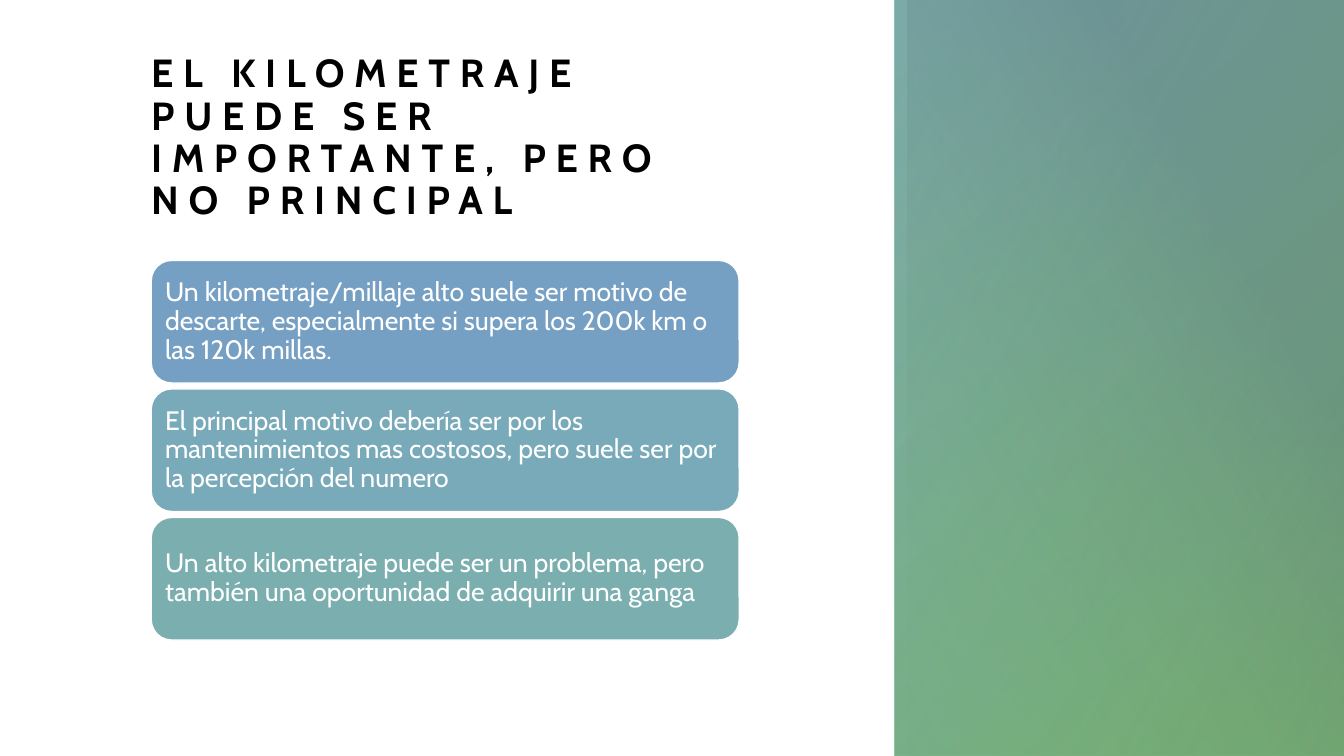
from dataclasses import dataclass

from pptx import Presentation
from pptx import util as u
from pptx.dml.color import RGBColor
from pptx.enum import shapes, text
from pptx.oxml import parse_xml
from pptx.oxml.ns import nsdecls, qn

# Grid: 80 columns by 45 rows of equal square cells
COLUMNS, ROWS = 80, 45
CELL = u.Inches(7.5) / ROWS
FONT = "Cabin"
TEXT_LEFT, TEXT_COLUMNS = 9, 35
CARD_TOP, CARD_ROWS, CARD_PITCH = 15.5, 7.3, 7.65


@dataclass
class Stop:
    position: int
    color: str
    opacity: int = 100


@dataclass
class PanelLayer:
    columns: float
    rotation: int
    angle: int
    stops: list[Stop]


@dataclass
class Card:
    color: str
    wording: str


PANEL_LAYERS = [
    PanelLayer(26.75, 180, 130, [Stop(8, "7AB16B"), Stop(100, "77AF82", 90)]),
    PanelLayer(26.75, 90, 60, [Stop(0, "6BB196", 13), Stop(99, "76A0C3", 52)]),
    PanelLayer(26, 90, 300, [Stop(0, "7AB16B", 0), Stop(72, "485083", 26)]),
]

CARDS = [
    Card("76A0C3", "Un kilometraje/millaje alto suele ser motivo de descarte, "
                   "especialmente si supera los 200k km o las 120k millas."),
    Card("78AAB9", "El principal motivo debería ser por los mantenimientos mas "
                   "costosos, pero suele ser por la percepción del numero"),
    Card("7AAEAF", "Un alto kilometraje puede ser un problema, pero también una "
                   "oportunidad de adquirir una ganga"),
]


def cells(count: float) -> int:
    return u.Emu(round(count * CELL))


def rgb(color: str) -> RGBColor:
    return RGBColor.from_string(color)


def write(shape, wording: str, size: int, color: str, inset: float, anchor):
    """Set left-aligned text in a shape and return its run."""
    frame = shape.text_frame
    frame.text = wording
    frame.word_wrap = True
    frame.auto_size = text.MSO_AUTO_SIZE.NONE
    frame.vertical_anchor = anchor
    frame.margin_left = frame.margin_right = u.Inches(inset)
    frame.margin_top = frame.margin_bottom = u.Inches(inset)
    para = frame.paragraphs[0]
    para.alignment = text.PP_ALIGN.LEFT
    para.line_spacing = 0.9
    span = para.runs[0]
    span.font.name = FONT
    span.font.size = u.Pt(size)
    span.font.color.rgb = rgb(color)
    return span


def draw_title(page, wording: str) -> None:
    title = page.shapes.title
    title.left, title.top = cells(TEXT_LEFT), cells(3.05)
    title.width, title.height = cells(TEXT_COLUMNS), cells(10.25)
    span = write(title, wording, 28, "000000", 0, text.MSO_ANCHOR.BOTTOM)
    span.font.bold = True
    span.font._element.set("spc", "700")


def draw_layer(page, layer: PanelLayer) -> None:
    """Draw a full-height gradient that ends at the slide's right edge."""
    middle = COLUMNS - layer.columns / 2
    sideways = layer.rotation == 90
    width, height = (ROWS, layer.columns) if sideways else (layer.columns, ROWS)
    box = page.shapes.add_shape(
        shapes.MSO_SHAPE.RECTANGLE, cells(middle - width / 2),
        cells((ROWS - height) / 2), cells(width), cells(height))
    box.rotation = layer.rotation
    box.shadow.inherit = False
    box.line.fill.background()
    box.fill.gradient()
    properties = box.element.spPr
    properties.xfrm.set("flipH", "1")
    stops = "".join(
        f'<a:gs pos="{stop.position * 1000}"><a:srgbClr val="{stop.color}">'
        f'<a:alpha val="{stop.opacity * 1000}"/></a:srgbClr></a:gs>'
        for stop in layer.stops)
    gradient = parse_xml(
        f'<a:gradFill {nsdecls("a")} rotWithShape="1"><a:gsLst>{stops}</a:gsLst>'
        f'<a:lin ang="{layer.angle * 60000}" scaled="0"/></a:gradFill>')
    properties.replace(properties.find(qn("a:gradFill")), gradient)


def draw_card(page, card: Card, index: int) -> None:
    box = page.shapes.add_shape(
        shapes.MSO_SHAPE.ROUNDED_RECTANGLE, cells(TEXT_LEFT),
        cells(CARD_TOP + index * CARD_PITCH), cells(TEXT_COLUMNS), cells(CARD_ROWS))
    box.shadow.inherit = False
    box.fill.solid()
    box.fill.fore_color.rgb = rgb(card.color)
    box.line.color.rgb = rgb("FFFFFF")
    box.line.width = u.Pt(1)
    write(box, card.wording, 19, "FFFFFF", 0.08, text.MSO_ANCHOR.MIDDLE)


def main() -> None:
    deck = Presentation()
    deck.slide_width, deck.slide_height = cells(COLUMNS), cells(ROWS)
    page = deck.slides.add_slide(deck.slide_layouts[5])

    # Heading
    draw_title(page, "EL KILOMETRAJE PUEDE SER IMPORTANTE, PERO NO PRINCIPAL")

    # Coloured side panel
    for layer in PANEL_LAYERS:
        draw_layer(page, layer)

    # Stacked cards
    for index, card in enumerate(CARDS):
        draw_card(page, card, index)

    deck.save("out.pptx")


if __name__ == "__main__":
    main()
